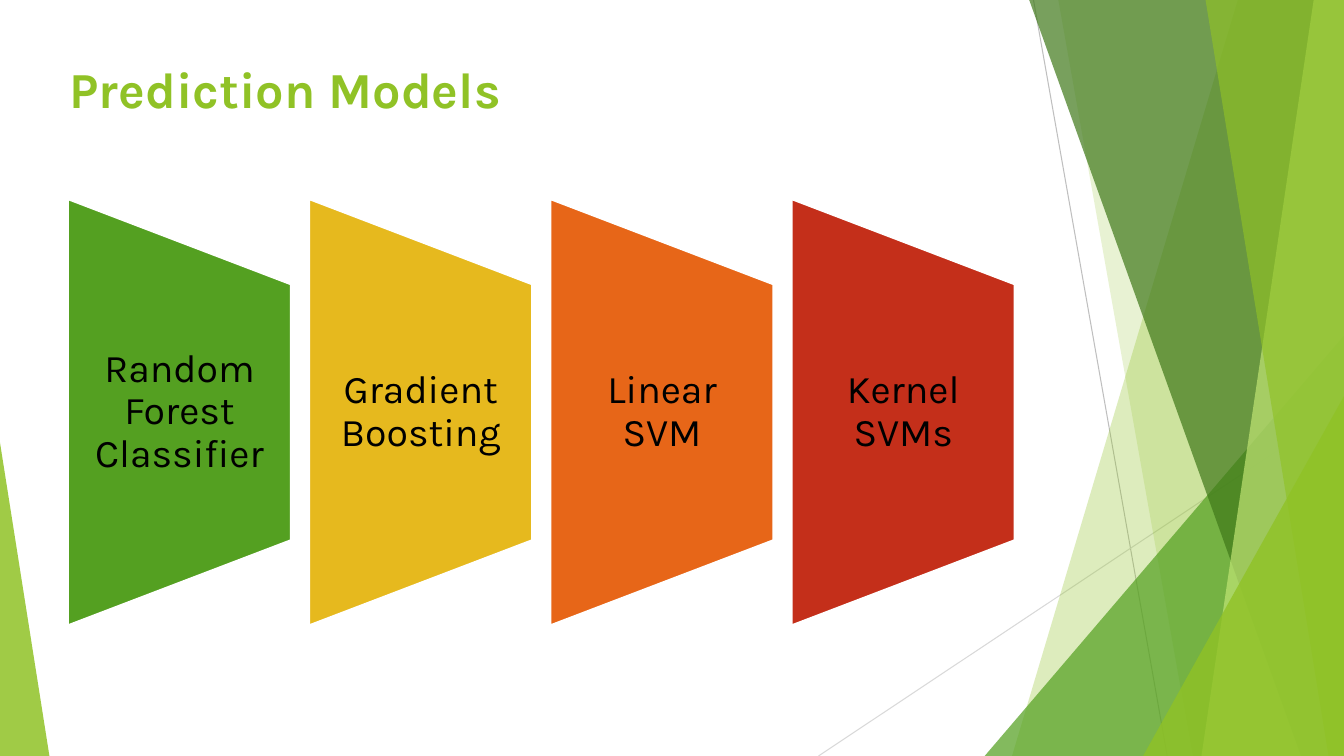
from dataclasses import dataclass

from lxml import etree
from pptx import Presentation
from pptx import util as u
from pptx.dml.color import RGBColor
from pptx.enum import shapes, text
from pptx.oxml.ns import qn


@dataclass(frozen=True)
class Theme:
    font: str = "Karla"
    title_size: int = 36
    label_size: int = 28
    lime: str = "90C226"
    pale_lime: str = "C0E474"
    green: str = "54A021"
    dark_green: str = "3F7819"
    yellow: str = "E6B91E"
    orange: str = "E76618"
    red: str = "C42F1A"
    ink: str = "000000"
    paper: str = "FFFFFF"
    grey: str = "BFBFBF"
    light_grey: str = "D9D9D9"


THEME = Theme()
SLIDE_W, SLIDE_H = u.Inches(13.333), u.Inches(7.5)


def across(percent: float) -> int:
    return round(SLIDE_W * percent / 100)


def down(percent: float) -> int:
    return round(SLIDE_H * percent / 100)


# All lengths below are percentages of the slide's width or height.
@dataclass(frozen=True)
class Ray:
    start: tuple[float, float]
    end: tuple[float, float]
    colour: str


@dataclass(frozen=True)
class Shard:
    """Full-height band from a slanted left edge to the slide's right edge."""
    top_x: float
    bottom_x: float
    colour: str
    opacity: int


@dataclass(frozen=True)
class Wedge:
    """Right-angled triangle standing on the slide's bottom edge."""
    left: float
    top: float
    width: float
    apex: int
    colour: str
    opacity: int


@dataclass(frozen=True)
class Model:
    label: str
    colour: str


RAYS = [
    Ray((76.9, 0), (86.85, 100), THEME.grey),
    Ray((100, 53.73), (60.9, 100), THEME.light_grey),
]
FACETS = [
    Shard(92.1, 75.3, THEME.lime, 30),
    Shard(78.75, 88.75, THEME.lime, 20),
    Wedge(73.27, 44.4, 26.73, 1, THEME.green, 72),
    Shard(76.58, 96.8, THEME.dark_green, 70),
    Shard(97.75, 89.4, THEME.pale_lime, 70),
    Shard(89.7, 98.85, THEME.lime, 65),
    Wedge(85.05, 52.4, 14.95, 1, THEME.lime, 80),
    Wedge(0, 58.53, 3.68, 0, THEME.lime, 85),
]
MODELS = [
    Model("Random Forest Classifier", THEME.green),
    Model("Gradient Boosting", THEME.yellow),
    Model("Linear SVM", THEME.orange),
    Model("Kernel SVMs", THEME.red),
]
CARD_LEFT, CARD_WIDTH, CARD_PITCH = 5.03, 16.65, 17.95
CARD_MIDDLE, CARD_HEIGHT, LABEL_HEIGHT = 54.53, 56.53, 34


def rgb(colour: str) -> RGBColor:
    return RGBColor.from_string(colour)


def paint(shape, colour: str, opacity: int = 100) -> None:
    shape.shadow.inherit = False
    shape.line.fill.background()
    shape.fill.solid()
    shape.fill.fore_color.rgb = rgb(colour)
    if opacity < 100:
        srgb = shape._element.spPr.find(f".//{qn('a:srgbClr')}")
        etree.SubElement(srgb, qn("a:alpha"), val=str(opacity * 1000))


def write(frame, words: str, size: int, colour: str, align) -> None:
    frame.word_wrap = True
    frame.text = words
    paragraph = frame.paragraphs[0]
    paragraph.alignment = align
    paragraph.font.name = THEME.font
    paragraph.font.size = u.Pt(size)
    paragraph.font.color.rgb = rgb(colour)


def draw_ray(slide, ray: Ray) -> None:
    (x1, y1), (x2, y2) = ray.start, ray.end
    line = slide.shapes.add_connector(
        shapes.MSO_CONNECTOR.STRAIGHT, across(x1), down(y1), across(x2), down(y2))
    line.line.color.rgb = rgb(ray.colour)
    line.line.width = u.Pt(0.75)
    etree.SubElement(line._element.spPr, qn("a:effectLst"))


def draw_shard(slide, shard: Shard) -> None:
    outline = slide.shapes.build_freeform(across(shard.top_x), 0)
    outline.add_line_segments([
        (across(100), 0), (across(100), down(100)), (across(shard.bottom_x), down(100))])
    paint(outline.convert_to_shape(), shard.colour, shard.opacity)


def draw_wedge(slide, wedge: Wedge) -> None:
    triangle = slide.shapes.add_shape(
        shapes.MSO_SHAPE.ISOSCELES_TRIANGLE, across(wedge.left), down(wedge.top),
        across(wedge.width), down(100 - wedge.top))
    triangle.adjustments[0] = wedge.apex
    paint(triangle, wedge.colour, wedge.opacity)


def draw_model(slide, column: int, model: Model) -> None:
    left, width = across(CARD_LEFT + column * CARD_PITCH), across(CARD_WIDTH)
    middle, length = down(CARD_MIDDLE), down(CARD_HEIGHT)
    # The trapezoid lies on its side, so its length runs down the slide
    card = slide.shapes.add_shape(
        shapes.MSO_SHAPE.FLOWCHART_MANUAL_OPERATION,
        left + (width - length) // 2, middle - width // 2, length, width)
    card.rotation = 270
    paint(card, model.colour)
    card.line.color.rgb = rgb(THEME.paper)
    card.line.width = u.Pt(2)

    height = down(LABEL_HEIGHT)
    frame = slide.shapes.add_textbox(left, middle - height // 2, width, height).text_frame
    frame.margin_left = frame.margin_right = u.Inches(0.19)
    frame.margin_top = frame.margin_bottom = 0
    frame.vertical_anchor = text.MSO_ANCHOR.MIDDLE
    write(frame, model.label, THEME.label_size, THEME.ink, text.PP_ALIGN.CENTER)
    frame.paragraphs[0].line_spacing = 0.9


def main() -> None:
    deck = Presentation()
    deck.slide_width, deck.slide_height = SLIDE_W, SLIDE_H
    slide = deck.slides.add_slide(deck.slide_layouts.get_by_name("Title Only"))

    # Title
    heading = slide.shapes.title
    heading.left, heading.top = across(4.43), down(7.07)
    heading.width, heading.height = across(70.5), down(19.2)
    heading.text_frame.vertical_anchor = text.MSO_ANCHOR.TOP
    write(heading.text_frame, "Prediction Models", THEME.title_size, THEME.lime,
          text.PP_ALIGN.LEFT)
    heading.text_frame.paragraphs[0].font.bold = True

    # Faceted backdrop
    for ray in RAYS:
        draw_ray(slide, ray)
    for facet in FACETS:
        if isinstance(facet, Shard):
            draw_shard(slide, facet)
        else:
            draw_wedge(slide, facet)

    # Row of prediction models
    for column, model in enumerate(MODELS):
        draw_model(slide, column, model)

    deck.save("out.pptx")


if __name__ == "__main__":
    main()
